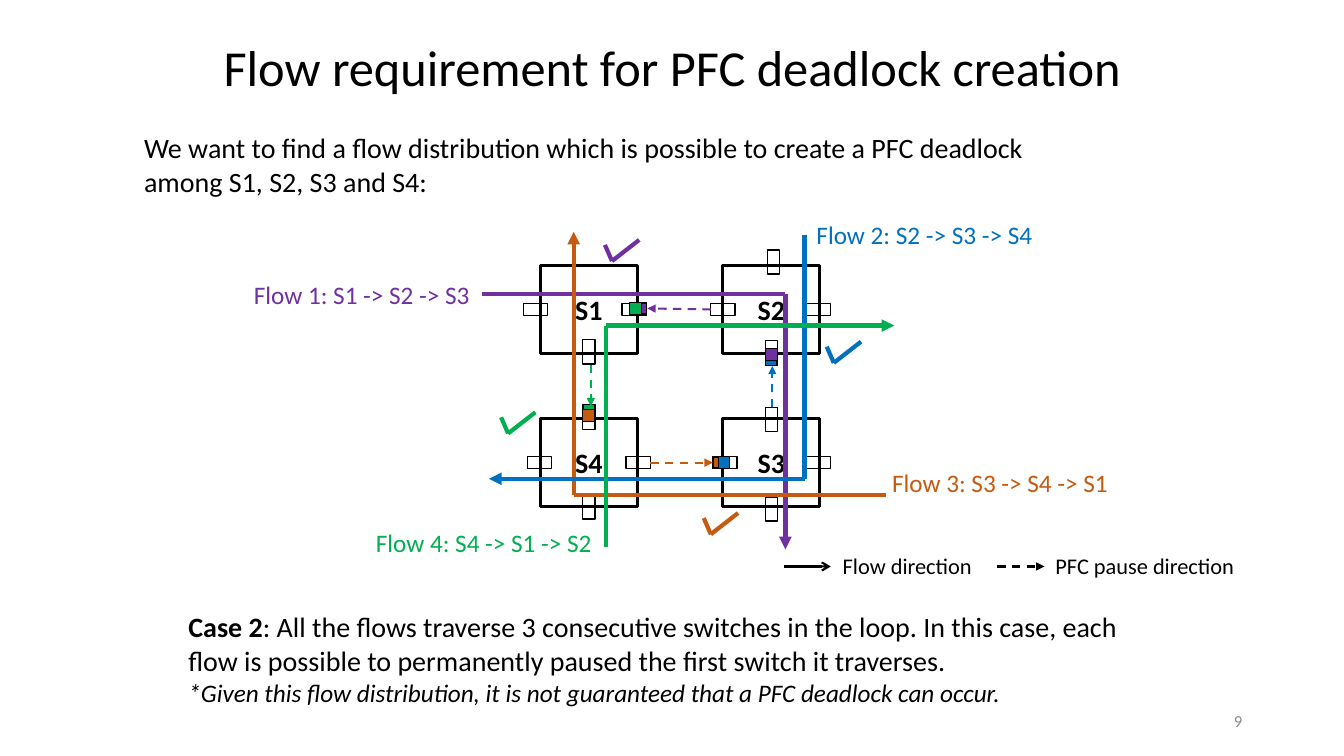
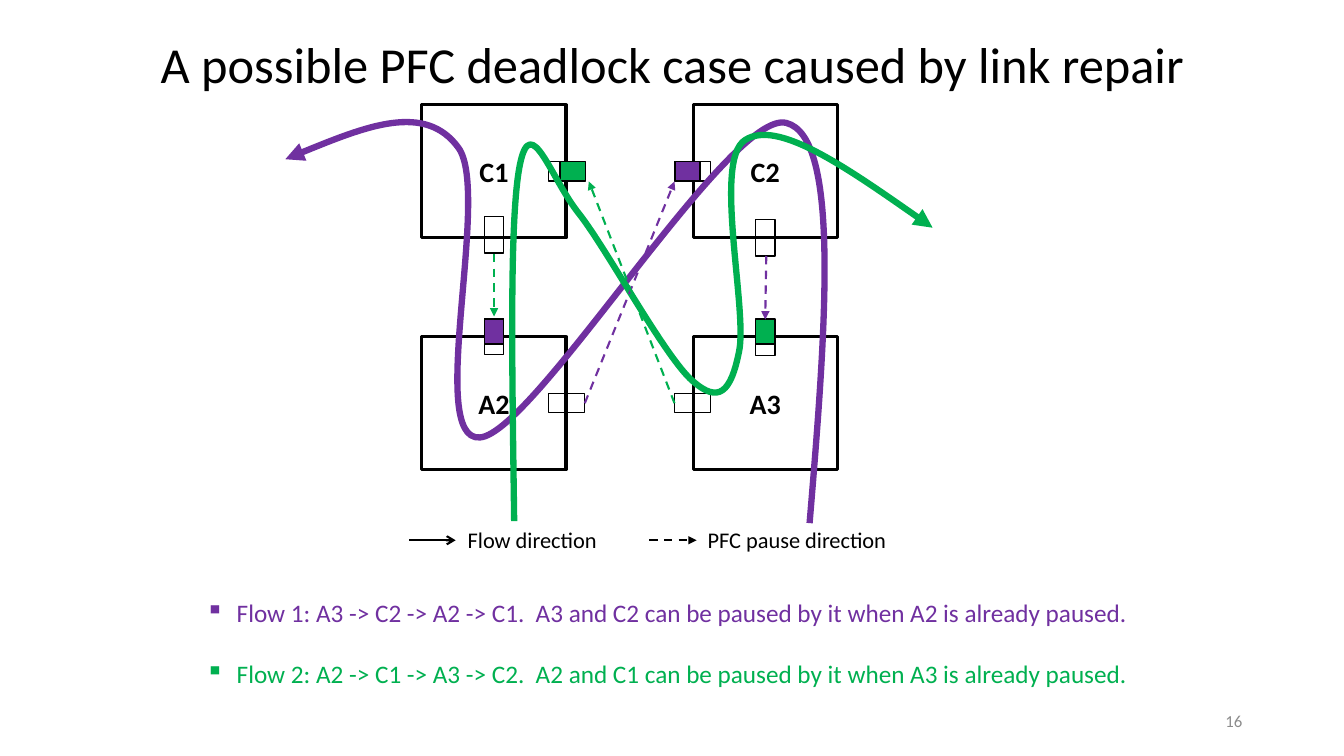
"""Build two slides on flows that lead to PFC deadlock."""
from pptx import Presentation
from pptx.dml.color import RGBColor
from pptx.enum.dml import MSO_LINE
from pptx.enum.shapes import MSO_CONNECTOR, MSO_SHAPE
from pptx.enum.text import MSO_ANCHOR, MSO_AUTO_SIZE, PP_ALIGN
from pptx.oxml.ns import qn
from pptx.util import Pt
from lxml import etree

RECT, STRAIGHT, DASH = MSO_SHAPE.RECTANGLE, MSO_CONNECTOR.STRAIGHT, MSO_LINE.DASH
LEFT, CENTER, RIGHT = PP_ALIGN.LEFT, PP_ALIGN.CENTER, PP_ALIGN.RIGHT
TOP, MIDDLE = MSO_ANCHOR.TOP, MSO_ANCHOR.MIDDLE
GROW, FIXED = MSO_AUTO_SIZE.SHAPE_TO_FIT_TEXT, MSO_AUTO_SIZE.NONE

COLS, ROWS, CELL = 13.33, 7.5, 914400
FONT = "Calibri"
BLACK, GREY = "000000", "8C8C8C"
PURPLE, BLUE, ORANGE, GREEN = "7030A0", "0070C0", "C55A11", "00B050"


def color(code):
    """Turn a hex string into a colour."""
    return RGBColor.from_string(code)


def cells(*spans):
    """Turn grid columns or rows into slide lengths."""
    return [round(span * CELL) for span in spans]


class Deck:
    """Hold the shared style and the current slide."""

    def __init__(self):
        """Start an empty deck on the grid."""
        self.show = Presentation()
        self.show.slide_width, self.show.slide_height = cells(COLS, ROWS)

    def page(self, title, spot, number):
        """Add a slide with its title and number."""
        self.slide = self.show.slides.add_slide(self.show.slide_layouts[5])
        self.shapes = self.slide.shapes
        head = self.shapes.title
        head.left, head.top, head.width, head.height = cells(*spot)
        self.fill(head.text_frame, [[title]], 36, align=CENTER, anchor=MIDDLE)
        head.text_frame.auto_size = FIXED
        self.text((9.42, 6.95, 3, 0.4), [number], size=12, tint=GREY,
                  align=RIGHT, anchor=MIDDLE, fit=FIXED)

    def fill(self, frame, lines, size, tint=BLACK, align=LEFT, anchor=TOP):
        """Write lines, each a list of runs, into a frame."""
        frame.word_wrap = True
        frame.vertical_anchor = anchor
        for i, line in enumerate(lines):
            para = frame.paragraphs[0] if i == 0 else frame.add_paragraph()
            para.alignment = align
            font = para.font
            font.name, font.size = FONT, Pt(size)
            font.color.rgb = color(tint)
            for words in line:
                para.add_run().text = words
        return frame.paragraphs

    def text(self, spot, *lines, size=18, wrap=True, fit=GROW, **style):
        """Add a text box and return its paragraphs."""
        frame = self.shapes.add_textbox(*cells(*spot)).text_frame
        paras = self.fill(frame, [[x] if isinstance(x, str) else x for x in lines],
                          size, **style)
        frame.word_wrap, frame.auto_size = wrap, fit
        return paras

    def box(self, x, y, wide, high, tint=None, weight=1, name=None):
        """Add a box around a centre point."""
        shape = self.shapes.add_shape(
            RECT, *cells(x - wide / 2, y - high / 2, wide, high))
        shape.shadow.inherit = False
        shape.line.color.rgb = color(BLACK)
        shape.line.width = Pt(weight)
        if tint:
            shape.fill.solid()
            shape.fill.fore_color.rgb = color(tint)
        else:
            shape.fill.background()
        if name:
            self.fill(shape.text_frame, [[name]], 20,
                      align=CENTER, anchor=MIDDLE)[0].font.bold = True

    def ports(self, flat, tall, wide, long):
        """Add the empty ports, lying and standing."""
        for x, y in flat:
            self.box(x, y, long, wide)
        for x, y in tall:
            self.box(x, y, wide, long)

    def ink(self, shape, tint, weight, dash=False, tip=None):
        """Style a line and its end."""
        shape.line.color.rgb = color(tint)
        shape.line.width = Pt(weight)
        if dash:
            shape.line.dash_style = DASH
        if tip:
            stroke = shape._element.spPr.find(qn("a:ln"))
            etree.SubElement(stroke, qn("a:tailEnd")).set("type", tip)

    def line(self, start, end, tint, weight=3, home=None, **style):
        """Add a straight line."""
        link = (home or self.shapes).add_connector(
            STRAIGHT, *cells(*start, *end))
        self.ink(link, tint, weight, **style)
        etree.SubElement(link._element.spPr, qn("a:effectLst"))

    def pause(self, start, end, tint):
        """Add a dashed pause arrow."""
        self.line(start, end, tint, 1.5, dash=True, tip="triangle")

    def check(self, x, y, tint):
        """Add a check mark from two strokes."""
        group = self.shapes.add_group_shape()
        foot = (x + 0.07, y + 0.16)
        for start in ((x, y), (x + 0.34, y - 0.05)):
            self.line(start, foot, tint, home=group.shapes)

    def curve(self, points, tint):
        """Add a flow of cubic curves with an arrow tip."""
        first, *rest = [cells(*point) for point in points]
        pen = self.shapes.build_freeform(*first)
        pen.add_line_segments(rest, close=False)
        shape = pen.convert_to_shape()
        shape.shadow.inherit = False
        shape.fill.background()
        self.ink(shape, tint, 4.5, tip="triangle")
        steps = list(shape._element.iter(qn("a:lnTo")))
        for i in range(0, len(steps), 3):
            bend = etree.SubElement(steps[i].getparent(), qn("a:cubicBezTo"))
            for step in steps[i:i + 3]:
                bend.append(step[0])
                step.getparent().remove(step)

    def legend(self, flow, halt, y):
        """Explain the two kinds of arrow."""
        self.line((flow, y), (flow + 0.46, y), BLACK, 1.5, tip="arrow")
        self.pause((halt, y), (halt + 0.47, y), BLACK)
        for x, wide, words in ((flow, 1.5, "Flow direction"),
                               (halt, 2, "PFC pause direction")):
            self.text((x + 0.48, y - 0.19, wide, 0.37), words, size=16, wrap=False)

    def bullet(self, para, tint):
        """Give a paragraph a square bullet and a colour."""
        para.font.color.rgb = color(tint)
        props = para._p.get_or_add_pPr()
        indent, = cells(0.31)
        props.set("marL", str(indent))
        props.set("indent", str(-indent))
        mark = etree.Element(qn("a:buChar"))
        mark.set("char", "▪")
        props.find(qn("a:defRPr")).addprevious(mark)


def loop(deck):
    """Draw the four-switch loop."""
    deck.page("Flow requirement for PFC deadlock creation",
              (0.61, 0.3, 12.12, 0.71), "9")
    deck.text((1.33, 1.25, 9.65, 0.77),
              "We want to find a flow distribution which is possible to create "
              "a PFC deadlock among S1, S2, S3 and S4:", size=20)
    west, east, north, south = 5.84, 7.65, 3.07, 4.59
    for name, x, y in (("S1", west, north), ("S2", east, north),
                       ("S3", east, south), ("S4", west, south)):
        deck.box(x, y, 0.96, 0.87, weight=2.25, name=name)
    deck.ports([(5.31, north), (6.29, north), (7.17, north), (8.12, north),
                (5.35, south), (6.33, south), (7.19, south), (8.12, south)],
               [(west, 3.49), (7.67, 2.6), (east, 3.5),
                (west, 4.14), (west, 5.03), (east, 4.16), (east, 5.05)],
               0.12, 0.24)
    for tint, start, turn, end in (
            (PURPLE, (4.78, 2.92), (7.79, 2.92), (7.79, 5.45)),
            (ORANGE, (8.79, 4.91), (5.69, 4.91), (5.69, 2.3)),
            (BLUE, (7.98, 2.33), (7.98, 4.75), (4.85, 4.75)),
            (GREEN, (6.01, 5.43), (6.01, 3.23), (8.87, 3.23))):
        deck.line(start, turn, tint)
        deck.line(turn, end, tint, tip="triangle")
    for x, y, wide, high, tint in (
            (east, 3.54, 0.12, 0.17, PURPLE), (east, 3.6, 0.11, 0.05, BLUE),
            (6.33, 3.06, 0.17, 0.12, GREEN), (6.39, 3.06, 0.05, 0.11, PURPLE),
            (7.15, south, 0.17, 0.12, BLUE), (7.1, south, 0.05, 0.11, ORANGE),
            (west, 4.1, 0.12, 0.17, ORANGE), (west, 4.04, 0.11, 0.05, GREEN)):
        deck.box(x, y, wide, high, tint)
    deck.pause((7.05, 3.07), (6.42, 3.06), PURPLE)
    deck.pause((7.66, 4.04), (7.66, 3.63), BLUE)
    deck.pause((6.45, 4.59), (7.07, 4.59), ORANGE)
    deck.pause((5.86, 3.62), (5.86, 4.03), GREEN)
    for x, y, words, tint in (
            (2.42, 2.72, "Flow 1: S1 -> S2 -> S3", PURPLE),
            (8, 2.13, "Flow 2: S2 -> S3 -> S4", BLUE),
            (8.75, 4.59, "Flow 3: S3 -> S4 -> S1", ORANGE),
            (3.63, 5.18, "Flow 4: S4 -> S1 -> S2", GREEN)):
        deck.text((x, y, 2.37, 0.4), words, tint=tint, wrap=False)
    for x, y, tint in ((6, 2.43, PURPLE), (8.2, 3.44, BLUE),
                       (6.98, 5.14, ORANGE), (4.97, 4.14, GREEN)):
        deck.check(x, y, tint)
    deck.legend(7.78, 9.89, 5.62)
    case, note = deck.text(
        (1.77, 6, 9.83, 1.08),
        ["Case 2", ": All the flows traverse 3 consecutive switches in the loop. "
         "In this case, each flow is possible to permanently paused the first "
         "switch it traverses."],
        "*Given this flow distribution, it is not guaranteed that a PFC "
        "deadlock can occur.", size=20)
    case.runs[0].font.bold = True
    note.font.size, note.font.italic = Pt(18), True


def repair(deck):
    """Draw the link repair case."""
    deck.page("A possible PFC deadlock case caused by link repair",
              (0.36, 0.27, 12.62, 0.71), "16")
    west, east, north, south = 4.9, 7.59, 1.7, 4
    for name, x, y in (("C1", west, north), ("C2", east, north),
                       ("A2", west, south), ("A3", east, south)):
        deck.box(x, y, 1.43, 1.32, weight=2.25, name=name)
    deck.ports([(5.62, north), (6.87, north), (5.62, south), (6.87, south)],
               [(west, 2.33), (east, 2.36), (west, 3.34), (east, 3.35)],
               0.19, 0.36)
    deck.box(east, 3.29, 0.19, 0.25, GREEN)
    deck.box(5.68, north, 0.25, 0.19, GREEN)
    deck.box(west, 3.29, 0.19, 0.25, PURPLE)
    deck.curve([(8.03, 5.19), (8.19, 3.27), (8.34, 1.36), (7.8, 1.22),
                (7.25, 1.07), (5.3, 4.3), (4.76, 4.34),
                (4.22, 4.38), (4.87, 1.93), (4.55, 1.47),
                (4.22, 1.01), (3.53, 1.29), (2.83, 1.58)], PURPLE)
    deck.curve([(5.1, 5.17), (5.08, 3.65), (5.05, 2.13), (5.16, 1.62),
                (5.27, 1.11), (5.46, 1.77), (5.75, 2.13),
                (6.03, 2.49), (6.6, 3.55), (6.87, 3.78),
                (7.13, 4.01), (7.25, 3.89), (7.33, 3.49),
                (7.42, 3.09), (7.07, 1.59), (7.39, 1.39),
                (7.71, 1.18), (8.48, 1.72), (9.25, 2.26)], GREEN)
    deck.box(6.82, north, 0.25, 0.19, PURPLE)
    deck.pause((7.6, 2.54), (7.59, 3.17), PURPLE)
    deck.pause((5.8, 4), (6.69, 1.8), PURPLE)
    deck.pause((4.9, 2.52), (4.9, 3.14), GREEN)
    deck.pause((6.69, 4), (5.84, 1.8), GREEN)
    deck.legend(4.06, 6.44, 5.36)
    paras = deck.text(
        (1.94, 5.88, 9.46, 1.01),
        "Flow 1: A3 -> C2 -> A2 -> C1.  A3 and C2 can be paused by it "
        "when A2 is already paused.",
        "Flow 2: A2 -> C1 -> A3 -> C2.  A2 and C1 can be paused by it "
        "when A3 is already paused.", wrap=False)
    paras[1].space_before = Pt(22)
    for para, tint in zip(paras, (PURPLE, GREEN)):
        deck.bullet(para, tint)


deck = Deck()
loop(deck)
repair(deck)
deck.show.save("out.pptx")
